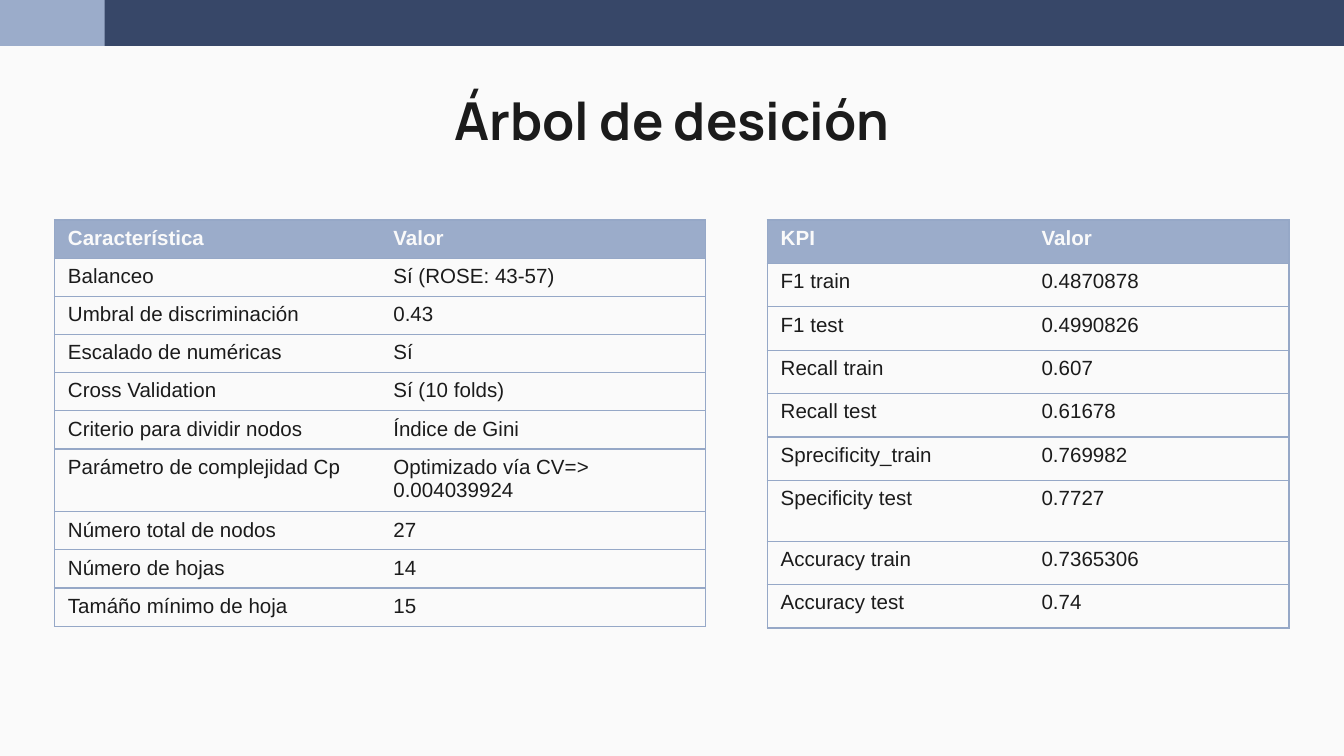
import pptx
import pptx.dml.color
import pptx.enum.shapes
import pptx.enum.text
import pptx.oxml
import pptx.oxml.ns
import pptx.util
from pptx.util import Cm

COLORS = {
    "background": "FAFAFA",
    "navy": "374768",
    "sky": "9BACCA",
    "border": "96A8C7",
    "text": "1B1B1B",
}
TITLE = "Árbol de desición"
BANDS = [("navy", 25.4), ("sky", 1.98)]
TABLES = [
    {
        "left": 1.03, "col": 6.15, "row": 0.69, "tall": 1.12, "tall_row": 6,
        "rows": [
            ("Característica", "Valor"),
            ("Balanceo", "Sí (ROSE: 43-57)"),
            ("Umbral de discriminación", "0.43"),
            ("Escalado de numéricas", "Sí"),
            ("Cross Validation", "Sí (10 folds)"),
            ("Criterio para dividir nodos", "Índice de Gini"),
            ("Parámetro de complejidad Cp", "Optimizado vía CV=> 0.004039924"),
            ("Número total de nodos", "27"),
            ("Número de hojas", "14"),
            ("Tamáño mínimo de hoja", "15"),
        ],
    },
    {
        "left": 14.5, "col": 4.93, "row": 0.82, "tall": 1.15, "tall_row": 6,
        "rows": [
            ("KPI", "Valor"),
            ("F1 train", "0.4870878"),
            ("F1 test", "0.4990826"),
            ("Recall train", "0.607"),
            ("Recall test", "0.61678"),
            ("Sprecificity_train", "0.769982"),
            ("Specificity test", "0.7727"),
            ("Accuracy train", "0.7365306"),
            ("Accuracy test", "0.74"),
        ],
    },
]
TABLE_TOP = 4.16


def rgb(name):
    return pptx.dml.color.RGBColor.from_string(COLORS[name])


def write(tf, text, color, **font):
    r = tf.paragraphs[0].add_run()
    r.text = text
    r.font.color.rgb = rgb(color)
    for name, value in font.items():
        setattr(r.font, name, value)


def add_borders(cell, col):
    """Rule every side except the one shared by the two columns."""
    hidden = "R" if col == 0 else "L"
    tc_pr = cell._tc.get_or_add_tcPr()
    for side in "LRTB":
        fill = "<a:noFill/>" if side == hidden else (
            f'<a:solidFill><a:srgbClr val="{COLORS["border"]}"/></a:solidFill>')
        tc_pr.append(pptx.oxml.parse_xml(
            f'<a:ln{side} {pptx.oxml.ns.nsdecls("a")} '
            f'w="{pptx.util.Pt(0.75)}">{fill}</a:ln{side}>'))


def add_table(s, data):
    rows = data["rows"]
    heights = [data["tall"] if i == data["tall_row"] else data["row"]
               for i in range(len(rows))]
    table = s.shapes.add_table(
        len(rows), 2, Cm(data["left"]), Cm(TABLE_TOP),
        Cm(2 * data["col"]), Cm(sum(heights))).table
    table.horz_banding = False
    for column in table.columns:
        column.width = Cm(data["col"])
    for i, (values, height) in enumerate(zip(rows, heights)):
        table.rows[i].height = Cm(height)
        header = i == 0
        for j, value in enumerate(values):
            cell = table.cell(i, j)
            add_borders(cell, j)
            cell.fill.solid()
            cell.fill.fore_color.rgb = rgb("sky" if header else "background")
            write(cell.text_frame, value, "background" if header else "text",
                  name="Arial", size=pptx.util.Pt(11), bold=header)


prs = pptx.Presentation()
prs.slide_width, prs.slide_height = Cm(25.4), Cm(14.29)
s = prs.slides.add_slide(prs.slide_layouts[6])
s.background.fill.solid()
s.background.fill.fore_color.rgb = rgb("background")

for color, width in BANDS:
    sp = s.shapes.add_shape(pptx.enum.shapes.MSO_SHAPE.RECTANGLE,
                            0, 0, Cm(width), Cm(0.87))
    sp.shadow.inherit = False
    sp.fill.solid()
    sp.fill.fore_color.rgb = rgb(color)
    sp.line.fill.background()

tf = s.shapes.add_textbox(Cm(2), Cm(1.42), Cm(21.4), Cm(1.6)).text_frame
frame_format = {
    "word_wrap": True,
    "vertical_anchor": pptx.enum.text.MSO_ANCHOR.TOP,
    **{f"margin_{side}": Cm(0.25) for side in ("left", "right", "top", "bottom")},
}
for name, value in frame_format.items():
    setattr(tf, name, value)
tf.paragraphs[0].alignment = pptx.enum.text.PP_ALIGN.CENTER
write(tf, TITLE, "text", name="Manrope", size=pptx.util.Pt(28), bold=True)

for data in TABLES:
    add_table(s, data)

prs.save("out.pptx")
